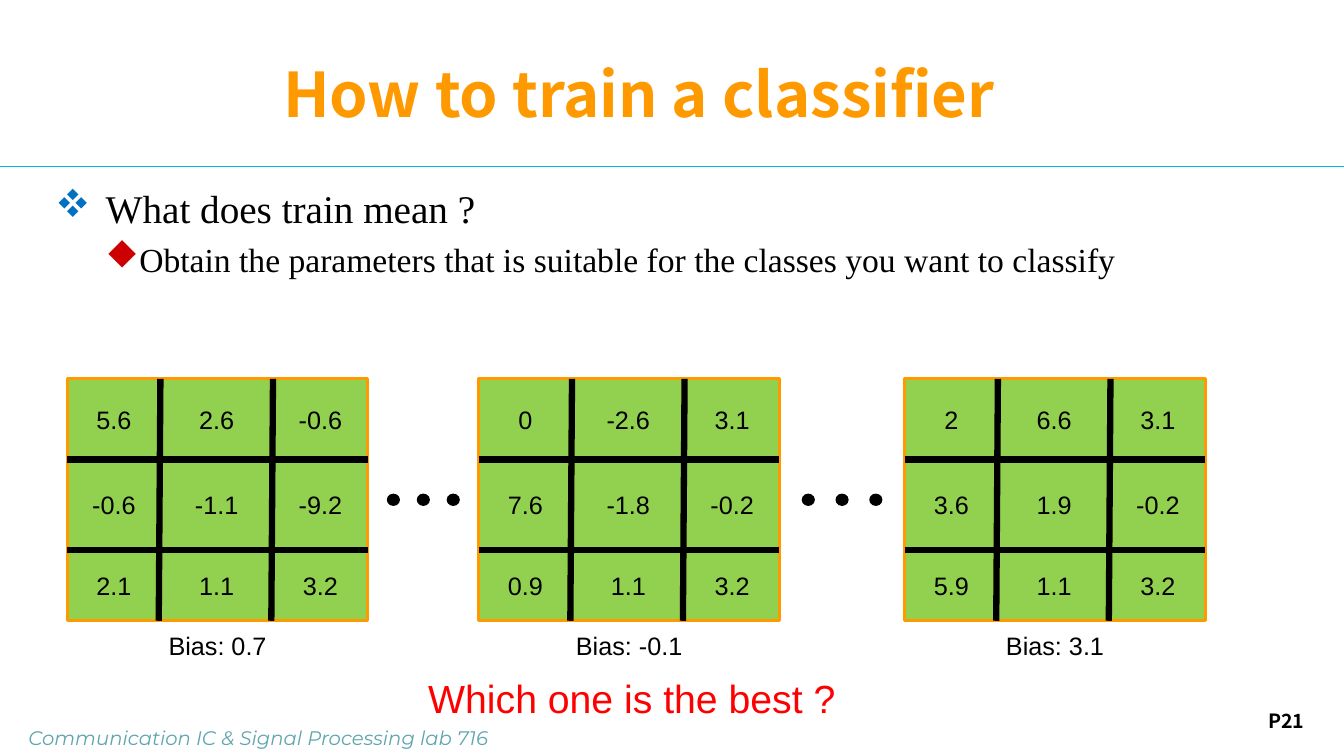
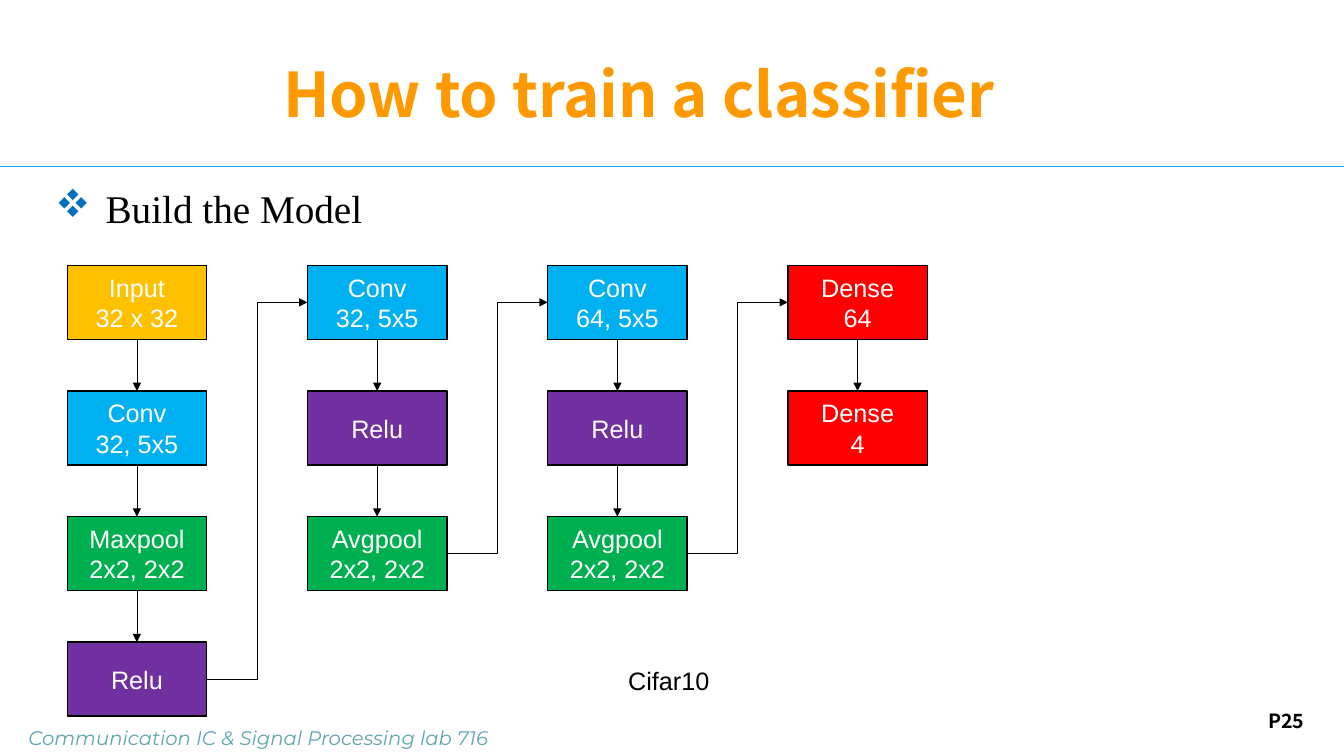
"""Build two slides on training a classifier, laid out on a 160 by 90 grid."""
from dataclasses import dataclass
from itertools import pairwise

import pptx
import pptx.dml.color
import pptx.enum.shapes
import pptx.enum.text
import pptx.oxml
import pptx.oxml.ns
import pptx.util

SHAPE = pptx.enum.shapes.MSO_SHAPE
LINK = pptx.enum.shapes.MSO_CONNECTOR
ALIGN = pptx.enum.text.PP_ALIGN
ANCHOR = pptx.enum.text.MSO_ANCHOR
NSDECL = pptx.oxml.ns.nsdecls("a")
UNIT = pptx.util.Inches(13.33) / 160


@dataclass(frozen=True)
class Style:
    font: str
    size: float
    color: str
    bold: bool = False
    italic: bool = False
    alpha: int = 100


@dataclass(frozen=True)
class Theme:
    black: str = "000000"
    orange: str = "FF9900"
    cyan: str = "00B0F0"
    matrix: str = "92D050"
    title: Style = Style("Noto Sans CJK SC", 44, "FF9900", bold=True)
    page: Style = Style("Noto Sans CJK SC", 14, "000000", bold=True)
    footer: Style = Style("Montserrat", 14, "4597A0", italic=True, alpha=85)
    body: tuple = (Style("Times New Roman", 28, "000000"),
                   Style("Times New Roman", 24, "000000"))
    bullet_font: str = "Wingdings"
    bullets: tuple = (("v", "0070C0", 0.5, 0.5), ("u", "CC0000", 0.81, 0.31))
    label: Style = Style("Arial", 18, "000000")
    node: Style = Style("Arial", 18, "FFFFFF")
    question: Style = Style("Arial", 28, "FF0000")
    hairline: float = 0.5
    rule: float = 0.75
    outline: float = 1
    frame: float = 2.25
    grid: float = 4.5


T = Theme()
LAYERS = {"Input": "FFC000", "Conv": T.cyan, "Maxpool": "00B050",
          "Avgpool": "00B050", "Relu": "7030A0", "Dense": "FF0000"}


def rgb(color):
    return pptx.dml.color.RGBColor.from_string(color)


def emu(*cells):
    return [round(cell * UNIT) for cell in cells]


def add_run(p, text, style):
    r = p.add_run()
    r.text = text
    r.font.name = style.font
    r.font.size = pptx.util.Pt(style.size)
    r.font.bold = style.bold
    r.font.italic = style.italic
    r.font.color.rgb = rgb(style.color)
    if style.alpha < 100:
        fill = r._r.find(".//" + pptx.oxml.ns.qn("a:srgbClr"))
        fill.append(pptx.oxml.parse_xml(
            f'<a:alpha {NSDECL} val="{style.alpha * 1000}"/>'))


def fill_text(tf, lines, style, align, anchor):
    tf.word_wrap = True
    tf.vertical_anchor = anchor
    for i, line in enumerate(lines):
        p = tf.add_paragraph() if i else tf.paragraphs[0]
        p.alignment = align
        add_run(p, line, style)


def add_text(s, box, text, style, align=ALIGN.LEFT, anchor=ANCHOR.TOP):
    tb = s.shapes.add_textbox(*emu(*box))
    fill_text(tb.text_frame, [text], style, align, anchor)


def add_bullets(s, *items):
    tf = s.shapes.add_textbox(*emu(5.4, 21.4, 152.4, 59)).text_frame
    tf.word_wrap = True
    for i, (level, text) in enumerate(items):
        p = tf.add_paragraph() if i else tf.paragraphs[0]
        style = T.body[level]
        char, color, margin, hang = T.bullets[level]
        p.level = level
        pPr = p._p.get_or_add_pPr()
        pPr.set("marL", str(pptx.util.Inches(margin)))
        pPr.set("indent", str(-pptx.util.Inches(hang)))
        for xml in (
                f'<a:buClr {NSDECL}><a:srgbClr val="{color}"/></a:buClr>',
                f'<a:buFont {NSDECL} typeface="{T.bullet_font}" charset="2"/>',
                f'<a:buChar {NSDECL} char="{char}"/>'):
            pPr.append(pptx.oxml.parse_xml(xml))
        if i:
            p.space_before = pptx.util.Pt(0.2 * style.size)
        add_run(p, text, style)


def add_shape(s, kind, box, fill, line, width):
    sp = s.shapes.add_shape(kind, *emu(*box))
    sp.shadow.inherit = False
    sp.fill.solid()
    sp.fill.fore_color.rgb = rgb(fill)
    sp.line.color.rgb = rgb(line)
    sp.line.width = pptx.util.Pt(width)
    return sp


def add_line(s, ends, color, width, kind=LINK.STRAIGHT):
    cx = s.shapes.add_connector(kind, *emu(*ends))
    cx.line.color.rgb = rgb(color)
    cx.line.width = pptx.util.Pt(width)
    cx._element.spPr.append(pptx.oxml.parse_xml(f"<a:effectLst {NSDECL}/>"))
    return cx


def add_arrow(s, start, end, kind, start_site, end_site):
    cx = add_line(s, (0, 0, 0, 0), T.black, T.hairline, kind)
    cx.begin_connect(start, start_site)
    cx.end_connect(end, end_site)
    cx.line._get_or_add_ln().append(
        pptx.oxml.parse_xml(f'<a:tailEnd {NSDECL} type="triangle"/>'))


def add_slide(prs, page):
    s = prs.slides.add_slide(prs.slide_layouts[6])
    add_line(s, (0, 19.8, 160, 19.8), T.cyan, T.rule)
    add_text(s, (146.2, 83.8, 13.9, 6.2), page, T.page, ALIGN.CENTER)
    add_text(s, (2.2, 85.8, 132, 4.1),
             "Communication IC & Signal Processing lab 716", T.footer)
    add_text(s, (8, 3.6, 136.2, 15), "How to train a classifier", T.title,
             ALIGN.CENTER, ANCHOR.MIDDLE)
    return s


def add_matrix(s, left, top, width, height, rows, bias):
    xs = (0, 11.1, 24.5, width)
    ys = (0, 9.6, 20.4, height)
    add_shape(s, SHAPE.RECTANGLE, (left, top, width, height),
              T.matrix, T.orange, T.frame)
    for y in ys[1:-1]:
        add_line(s, (left, top + y, left + width, top + y), T.black, T.grid)
    for x in xs[1:-1]:
        add_line(s, (left + x, top, left + x - 0.2, top + height),
                 T.black, T.grid)
    for (y0, y1), values in zip(pairwise(ys), rows):
        for (x0, x1), value in zip(pairwise(xs), values):
            add_text(s, (left + x0, top + y0, x1 - x0, y1 - y0), value,
                     T.label, ALIGN.CENTER, ANCHOR.MIDDLE)
    add_text(s, (left, top + height + 0.5, width, 4.8), f"Bias: {bias}",
             T.label, ALIGN.CENTER)


def add_dots(s, left, right, middle):
    width, height = 1.4, 1.3
    for i in (-1, 0, 1):
        x = (left + right) / 2 + i * 0.27 * (right - left)
        add_shape(s, SHAPE.FLOWCHART_CONNECTOR,
                  (x - width / 2, middle - height / 2, width, height),
                  T.black, T.black, T.outline)


def add_node(s, col, row, lines):
    sp = add_shape(s, SHAPE.RECTANGLE,
                   (8 + 28.6 * col, 31.6 + 14.95 * row, 16.6, 8.8),
                   LAYERS[lines[0]], T.black, T.outline)
    fill_text(sp.text_frame, lines, T.node, ALIGN.CENTER, ANCHOR.MIDDLE)
    return sp


def add_flow(s, columns):
    stacks = [[add_node(s, col, row, lines) for row, lines in enumerate(stack)]
              for col, stack in enumerate(columns)]
    for stack in stacks:
        for upper, lower in pairwise(stack):
            add_arrow(s, upper, lower, LINK.STRAIGHT, 2, 0)
    for stack, following in pairwise(stacks):
        add_arrow(s, stack[-1], following[0], LINK.ELBOW, 3, 1)


def build_training(prs):
    s = add_slide(prs, "P21")
    add_bullets(s, (0, "What does train mean ?"),
                (1, "Obtain the parameters that is suitable for the classes "
                    "you want to classify"))
    top, width, height = 45.1, 35.8, 28.8
    matrices = (
        (8, "0.7", (("5.6", "2.6", "-0.6"), ("-0.6", "-1.1", "-9.2"),
                    ("2.1", "1.1", "3.2"))),
        (57, "-0.1", (("0", "-2.6", "3.1"), ("7.6", "-1.8", "-0.2"),
                      ("0.9", "1.1", "3.2"))),
        (107.7, "3.1", (("2", "6.6", "3.1"), ("3.6", "1.9", "-0.2"),
                        ("5.9", "1.1", "3.2"))),
    )
    for left, bias, rows in matrices:
        add_matrix(s, left, top, width, height, rows, bias)
    for here, after in pairwise(matrices):
        add_dots(s, here[0] + width, after[0], top + height / 2)
    add_text(s, (49.8, 79.7, 52.8, 6.8), "Which one is the best ?", T.question)


def build_model(prs):
    s = add_slide(prs, "P25")
    add_bullets(s, (0, "Build the Model"))
    add_text(s, (73.6, 78.6, 12.2, 4.8), "Cifar10", T.label)
    conv, relu = ("Conv", "32, 5x5"), ("Relu",)
    avgpool = ("Avgpool", "2x2, 2x2")
    add_flow(s, (
        (("Input", "32 x 32"), conv, ("Maxpool", "2x2, 2x2"), relu),
        (conv, relu, avgpool),
        (("Conv", "64, 5x5"), relu, avgpool),
        (("Dense", "64"), ("Dense", "4")),
    ))


def main():
    prs = pptx.Presentation()
    prs.slide_width, prs.slide_height = emu(160, 90)
    build_training(prs)
    build_model(prs)
    prs.save("out.pptx")


if __name__ == "__main__":
    main()
